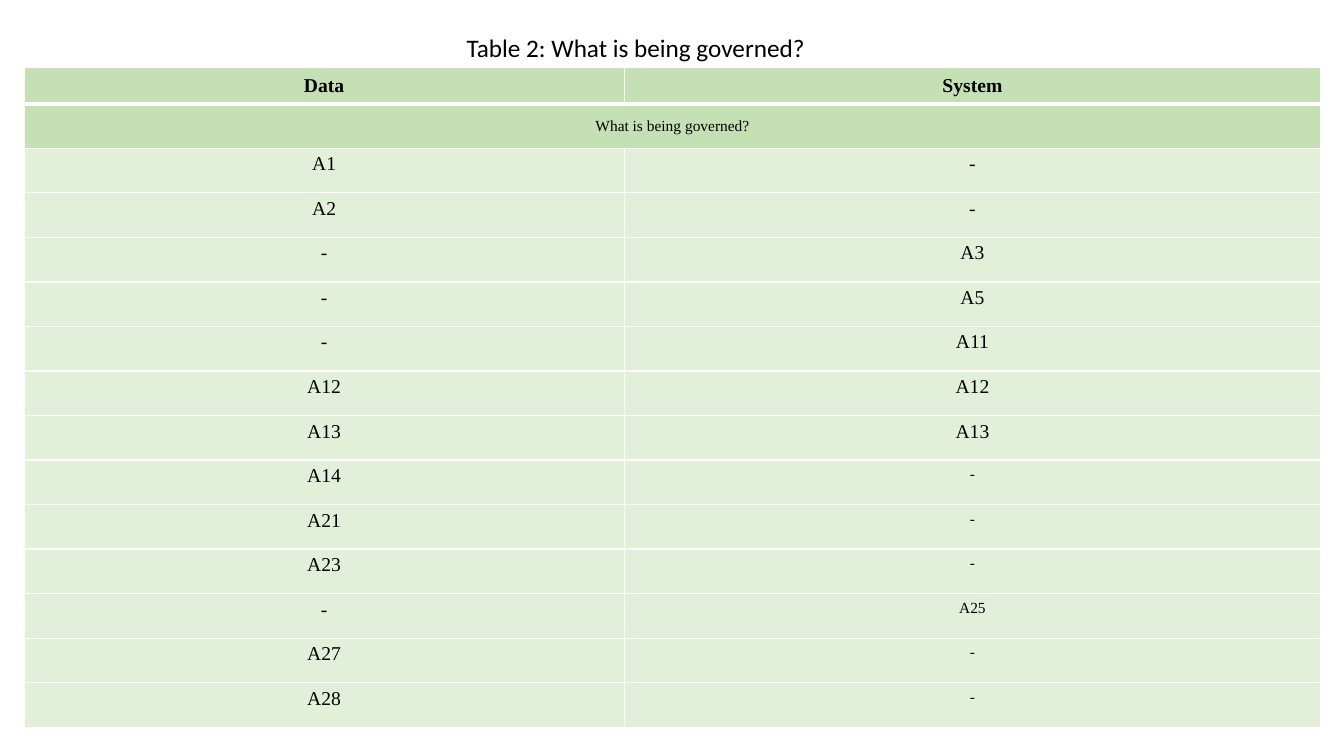
from dataclasses import dataclass

from lxml import etree
from pptx import Presentation
from pptx import util as u
from pptx.dml.color import RGBColor
from pptx.enum import text
from pptx.oxml import ns


@dataclass(frozen=True)
class Theme:
    ink: str = "000000"
    heading_fill: str = "C5E0B4"
    body_fill: str = "E2F0D9"
    rule: str = "FFFFFF"
    title_font: str = "Calibri"
    table_font: str = "Times New Roman"
    title_size: int = 18
    body_size: int = 14
    small_size: int = 11
    thin: int = 1
    thick: int = 3


class SlideBuilder:
    def __init__(self, page, theme):
        self.page = page
        self.theme = theme

    def set_text(self, frame, words, font, size, bold=False):
        para = frame.paragraphs[0]
        para.text = words
        para.font.name = font
        para.font.size = u.Pt(size)
        para.font.bold = bold
        para.font.color.rgb = RGBColor.from_string(self.theme.ink)
        return para

    def title(self, words, left, top, width, height):
        box = self.page.shapes.add_textbox(*map(u.Inches, (left, top, width, height)))
        frame = box.text_frame
        frame.word_wrap = False
        frame.auto_size = text.MSO_AUTO_SIZE.SHAPE_TO_FIT_TEXT
        self.set_text(frame, words, self.theme.title_font, self.theme.title_size)

    def table(self, row_count, left, top, widths, heights):
        size = (left, top, sum(widths), sum(heights))
        frame = self.page.shapes.add_table(row_count, len(widths), *map(u.Inches, size))
        grid = frame.table
        for column, width in zip(grid.columns, widths):
            column.width = u.Inches(width)
        for row, height in zip(grid.rows, heights):
            row.height = u.Inches(height)
        return grid

    def cell(self, cell, words, fill, size, bold=False, roomy=False, middle=False,
             top=None, bottom=None):
        """Fill one cell; roomy widens its margins, top and bottom set rule widths."""
        cell.fill.solid()
        cell.fill.fore_color.rgb = RGBColor.from_string(fill)
        if roomy:
            cell.margin_left = cell.margin_right = u.Inches(0.12)
            cell.margin_top = cell.margin_bottom = u.Inches(0.06)
        if middle:
            cell.vertical_anchor = text.MSO_ANCHOR.MIDDLE
        para = self.set_text(cell.text_frame, words, self.theme.table_font, size, bold)
        para.alignment = text.PP_ALIGN.CENTER
        thin = self.theme.thin
        self.borders(cell, {"lnL": thin, "lnR": thin, "lnT": top or thin, "lnB": bottom or thin})

    def borders(self, cell, widths):
        properties = cell._tc.get_or_add_tcPr()
        for place, (side, width) in enumerate(widths.items()):
            line = etree.Element(ns.qn(f"a:{side}"), w=str(u.Pt(width)))
            fill = etree.SubElement(line, ns.qn("a:solidFill"))
            etree.SubElement(fill, ns.qn("a:srgbClr"), val=self.theme.rule)
            properties.insert(place, line)


HEADINGS = ("Data", "System")
QUESTION = "What is being governed?"
ROWS = [
    ("A1", "-"), ("A2", "-"), ("-", "A3"), ("-", "A5"), ("-", "A11"),
    ("A12", "A12"), ("A13", "A13"), ("A14", "-"), ("A21", "-"),
    ("A23", "-"), ("-", "A25"), ("A27", "-"), ("A28", "-"),
]
FIRST_SMALL_ROW = 7  # from here on the System column is set smaller


def main():
    deck = Presentation()
    deck.slide_width, deck.slide_height = u.Inches(13.33), u.Inches(7.5)
    theme = Theme()
    slide = SlideBuilder(deck.slides.add_slide(deck.slide_layouts[6]), theme)

    heights = [0.36] + [0.442] * (len(ROWS) + 1)
    grid = slide.table(len(heights), 0.24, 0.67, (5.95, 6.91), heights)
    for column, heading in enumerate(HEADINGS):
        slide.cell(grid.cell(0, column), heading, theme.heading_fill, theme.body_size,
                   bold=True, roomy=True, middle=True, bottom=theme.thick)

    grid.cell(1, 0).merge(grid.cell(1, 1))
    for column, words in enumerate((QUESTION, "")):
        slide.cell(grid.cell(1, column), words, theme.heading_fill, theme.small_size,
                   roomy=True, middle=True, top=theme.thick)

    for index, entries in enumerate(ROWS):
        for column, entry in enumerate(entries):
            small = column == 1 and index >= FIRST_SMALL_ROW
            slide.cell(grid.cell(index + 2, column), entry, theme.body_fill,
                       theme.small_size if small else theme.body_size, roomy=small)

    slide.title("Table 2: What is being governed?", 4.53, 0.27, 3.66, 0.4)
    deck.save("out.pptx")


if __name__ == "__main__":
    main()
